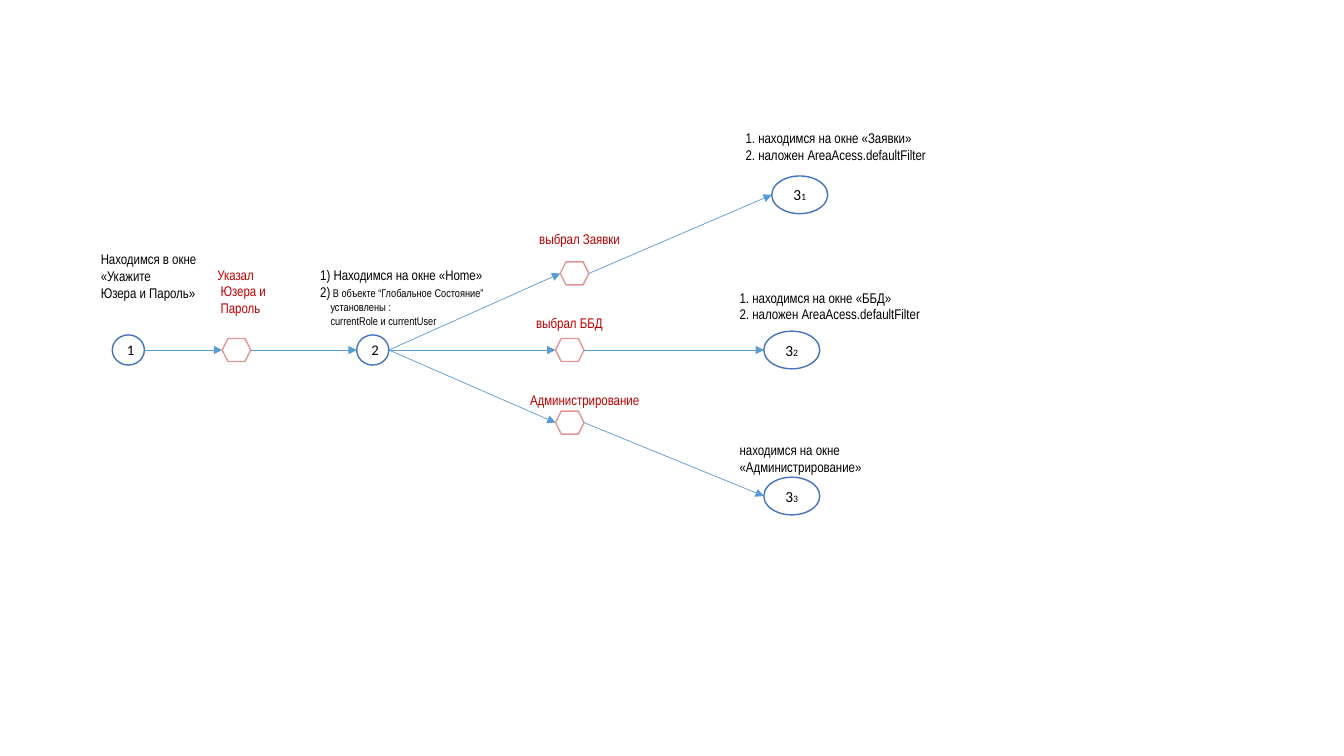
from lxml.etree import SubElement as Sub
from pptx import Presentation
from pptx.dml.color import RGBColor
from pptx.enum.shapes import MSO_CONNECTOR as Conn, MSO_SHAPE as Kind
from pptx.enum.text import MSO_ANCHOR as Anchor, MSO_AUTO_SIZE as Auto, PP_ALIGN as Align
from pptx.oxml.ns import qn
from pptx.util import Cm, Pt

rgb = RGBColor.from_string
BLACK, RED, BLUE, SKY = "000000", "C00000", "4472C4", "5B9BD5"
MID = 8.82  # height of the main row


def write(frame, lines, font="Arial Narrow", color=BLACK, align=Align.LEFT):
    """Each line is an indent in cm followed by (text, size) runs."""
    frame.word_wrap = True
    for i, (indent, *runs) in enumerate(lines):
        para = frame.paragraphs[0] if i == 0 else frame.add_paragraph()
        para.alignment = align
        if indent:
            para._p.get_or_add_pPr().set("marL", str(Cm(indent)))
        for text, size in runs:
            run = para.add_run()
            run.text = text
            run.font.name = font
            run.font.size = Pt(size)
            run.font.color.rgb = rgb(color)


def node(kind, left, mid, wide, high, color):
    """Add a white outlined shape centred on the height mid."""
    shape = slide.shapes.add_shape(kind, Cm(left), Cm(mid - high / 2), Cm(wide), Cm(high))
    shape.shadow.inherit = False
    shape.fill.solid()
    shape.fill.fore_color.rgb = rgb("FFFFFF")
    shape.line.color.rgb = rgb(color)
    shape.line.width = Pt(1)
    return shape


deck = Presentation()
deck.slide_width, deck.slide_height = Cm(33.87), Cm(19.05)
slide = deck.slides.add_slide(deck.slide_layouts[6])

# First two states
for left, name in [(2.83, "1"), (8.99, "2")]:
    state = node(Kind.OVAL, left, MID, 0.81, 0.76, BLUE)
    state.text_frame.vertical_anchor = Anchor.MIDDLE
    write(state.text_frame, [(0, (name, 10.5))], font="Calibri", align=Align.CENTER)

# Three final states
ends = [(19.45, 4.91, "1"), (19.25, MID, "2"), (19.25, 12.5, "3")]
for left, mid, sub in ends:
    state = node(Kind.OVAL, left, mid, 1.41, 0.95, BLUE)
    state.text_frame.vertical_anchor = Anchor.MIDDLE
    write(state.text_frame, [(0, ("3", 11), (sub, 7))], font="Calibri", align=Align.CENTER)

# Actions
steps = [(14.12, 6.89), (14.0, MID), (14.0, 10.65)]
for left, mid in [(5.6, MID)] + steps:
    step = node(Kind.HEXAGON, left, mid, 0.72, 0.58, RED)
    tint = step.line._ln.find(".//" + qn("a:srgbClr"))
    Sub(tint, qn("a:alpha")).set("val", "42000")

# Arrows
links = [(3.64, MID, 5.6, MID), (6.32, MID, 8.99, MID)]
for (x, y), (endx, endy, _) in zip(steps, ends):
    links += [(9.8, MID, x, y), (x + 0.72, y, endx, endy)]
for ends_at in links:
    link = slide.shapes.add_connector(Conn.STRAIGHT, *map(Cm, ends_at))
    link.line.color.rgb = rgb(SKY)
    link.line.width = Pt(0.5)
    Sub(link.line._ln, qn("a:tailEnd")).set("type", "triangle")
    Sub(link._element.spPr, qn("a:effectLst"))

# Captions: left, top, width, height, colour, lines
rule = (0, ("2. наложен AreaAcess.defaultFilter", 10))
notes = [
    (2.29, 6.2, 3.3, 1.55, BLACK,
     [(0, ("Находимся в окне", 10)), (0, ("«Укажите", 10)), (0, ("Юзера и Пароль»", 10))]),
    (5.23, 6.58, 3.3, 1.55, RED,
     [(0, ("Указал", 10)), (0.08, ("Юзера и", 10)), (0.08, ("Пароль", 10))]),
    (7.82, 6.6, 5.69, 2.13, BLACK,
     [(0, ("1) Находимся на окне «Home»", 10)),
      (0, ("2)", 10), (" В объекте “Глобальное Состояние”", 8)),
      (0.26, ("установлены :", 8)),
      (0.26, ("currentRole и currentUser", 8))]),
    (13.34, 5.69, 2.64, 0.69, RED, [(0, ("выбрал Заявки", 10))]),
    (13.26, 7.8, 2.51, 0.69, RED, [(0, ("выбрал ББД", 10))]),
    (13.11, 9.73, 3.45, 0.69, RED, [(0, ("Администрирование", 10))]),
    (18.54, 3.15, 5.69, 1.12, BLACK, [(0, ("1. находимся на окне «Заявки»", 10)), rule]),
    (18.39, 7.16, 5.69, 1.12, BLACK, [(0, ("1. находимся на окне «ББД»", 10)), rule]),
    (18.39, 11.0, 3.61, 1.12, BLACK, [(0, ("находимся на окне «Администрирование»", 10))]),
]
for *place, color, lines in notes:
    box = slide.shapes.add_textbox(*map(Cm, place))
    box.text_frame.auto_size = Auto.SHAPE_TO_FIT_TEXT
    write(box.text_frame, lines, color=color)

deck.save("out.pptx")
